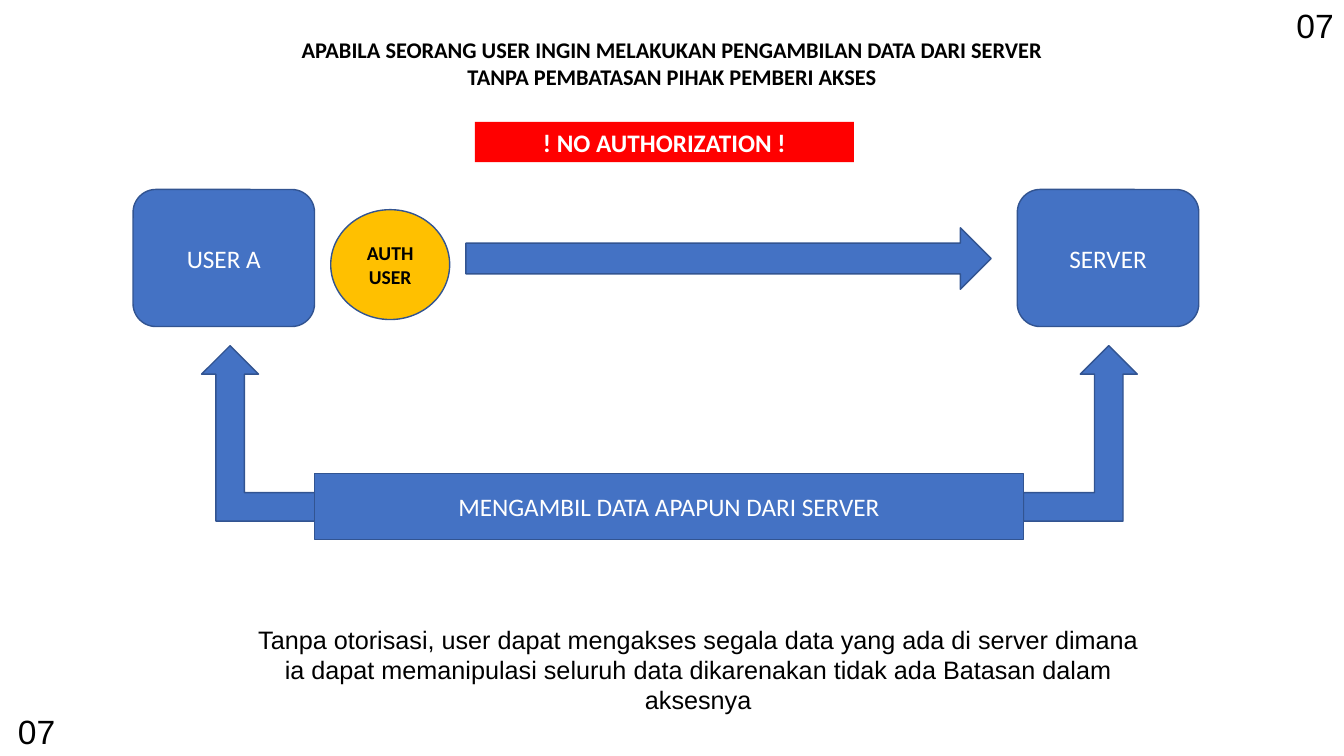
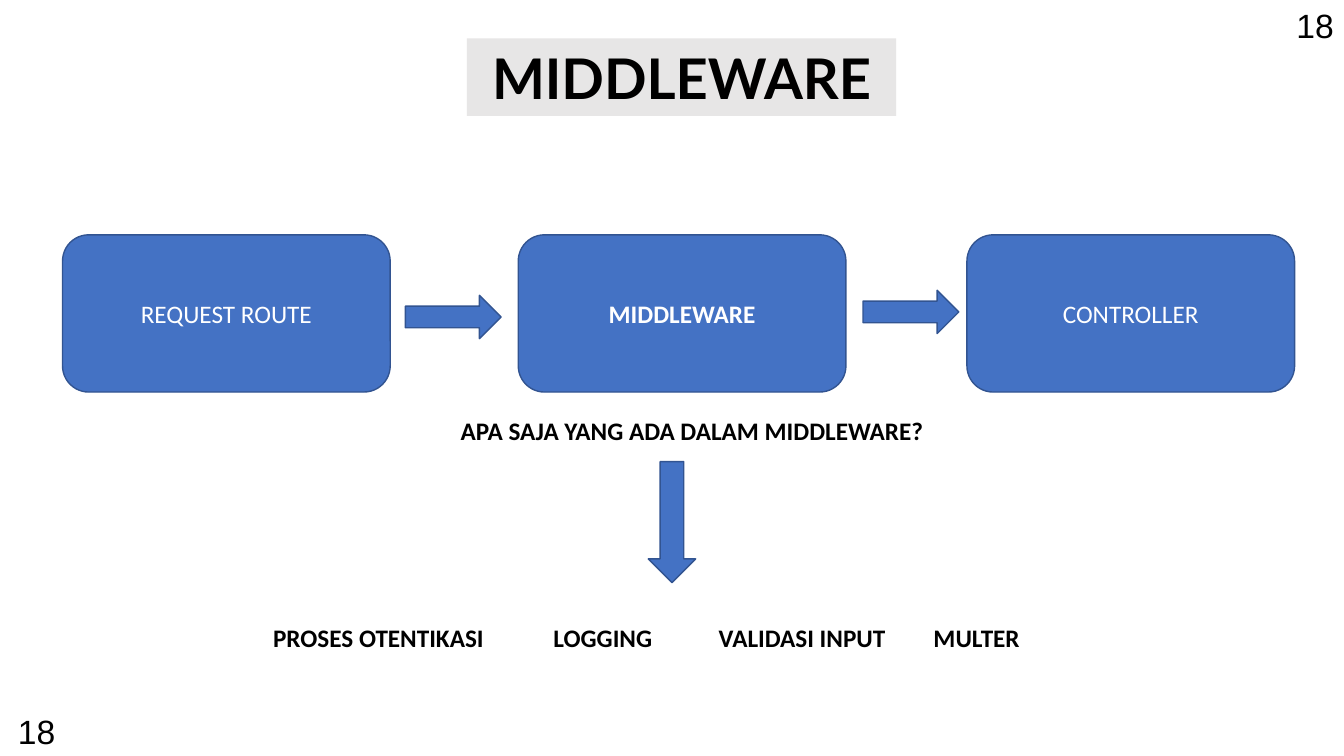
"""Two slides on authorization and middleware flow."""
from pptx import Presentation
from pptx.dml.color import RGBColor
from pptx.enum.shapes import MSO_SHAPE
from pptx.enum.text import MSO_ANCHOR, PP_ALIGN
from pptx.util import Inches, Pt

BLUE = RGBColor(0x44, 0x72, 0xC4)
EDGE = RGBColor(0x32, 0x54, 0x91)
GOLD = RGBColor(0xFF, 0xC0, 0x00)
RED = RGBColor(0xFF, 0x00, 0x00)
GRAY = RGBColor(0xE7, 0xE6, 0xE6)
WHITE = RGBColor(0xFF, 0xFF, 0xFF)
BLACK = RGBColor(0x00, 0x00, 0x00)

NODES = [("USER A", 1.32), ("SERVER", 10.09)]
BENDS = [(10.15, False), (2, True)]
RULE = ("APABILA SEORANG USER INGIN MELAKUKAN PENGAMBILAN DATA DARI SERVER "
        "TANPA PEMBATASAN PIHAK PEMBERI AKSES")
NOTE = ("Tanpa otorisasi, user dapat mengakses segala data yang ada di server "
        "dimana ia dapat memanipulasi seluruh data dikarenakan tidak ada "
        "Batasan dalam aksesnya")
STEPS = [("REQUEST ROUTE", 0.62, False), ("MIDDLEWARE", 5.14, True),
         ("CONTROLLER", 9.59, False)]
ARROWS = [(4.02, 2.93), (8.56, 2.88)]
PARTS = [("PROSES OTENTIKASI", 2.61), ("LOGGING", 5.39),
         ("VALIDASI INPUT", 7.03), ("MULTER", 9.16)]
CORNERS = [(12.76, 0), (0.08, 7)]


def write(shape, text, size=18, font="Calibri", color=BLACK, bold=False,
          align=PP_ALIGN.LEFT, anchor=MSO_ANCHOR.TOP):
    frame = shape.text_frame
    frame.word_wrap = True
    frame.vertical_anchor = anchor
    frame.text = text
    line = frame.paragraphs[0]
    line.alignment = align
    face = line.runs[0].font
    face.name, face.size, face.bold = font, Pt(size), bold
    face.color.rgb = color


def label(slide, at, text, **style):
    box = slide.shapes.add_textbox(*map(Inches, at))
    write(box, text, **style)


def block(slide, kind, at, text="", fill=BLUE, edge=EDGE, color=WHITE, **style):
    shape = slide.shapes.add_shape(kind, *map(Inches, at))
    shape.shadow.inherit = False
    shape.fill.solid()
    shape.fill.fore_color.rgb = fill
    if edge is None:
        shape.line.fill.background()
    else:
        shape.line.color.rgb = edge
        shape.line.width = Pt(1)
    if text:
        style.setdefault("anchor", MSO_ANCHOR.MIDDLE)
        write(shape, text, color=color, align=PP_ALIGN.CENTER, **style)
    return shape


def banner(slide, at, text, fill, color, **style):
    block(slide, MSO_SHAPE.RECTANGLE, at, text, fill, None, color,
          bold=True, anchor=MSO_ANCHOR.TOP, **style)


def start(deck):
    return deck.slides.add_slide(deck.slide_layouts[6])


def number(slide, text):
    for left, top in CORNERS:
        label(slide, (left, top, 1.55, 0.5), text, size=24, font="Arial")


def access(deck):
    slide = start(deck)
    for text, left in NODES:
        block(slide, MSO_SHAPE.ROUNDED_RECTANGLE, (left, 1.88, 1.8, 1.36), text)
    block(slide, MSO_SHAPE.OVAL, (3.28, 2.08, 1.18, 1.09), "AUTH USER",
          GOLD, color=BLACK, size=14, bold=True)
    block(slide, MSO_SHAPE.RIGHT_ARROW, (4.62, 2.26, 5.21, 0.61))
    label(slide, (2.6, 0.31, 8.13, 0.64), RULE, size=16, bold=True,
          align=PP_ALIGN.CENTER)
    banner(slide, (4.71, 1.21, 3.76, 0.4), "! NO AUTHORIZATION !", RED, WHITE)
    for left, flip in BENDS:
        bend = block(slide, MSO_SHAPE.BENT_UP_ARROW, (left, 3.43, 1.13, 1.74))
        if flip:
            bend.element.spPr.xfrm.set("flipH", "1")
    block(slide, MSO_SHAPE.RECTANGLE, (3.12, 4.7, 7.03, 0.65),
          "MENGAMBIL DATA APAPUN DARI SERVER")
    label(slide, (2.36, 6.14, 9.13, 1.01), NOTE, font="Arial",
          align=PP_ALIGN.CENTER)
    number(slide, "07")


def flow(deck):
    slide = start(deck)
    banner(slide, (4.63, 0.38, 4.26, 0.77), "MIDDLEWARE", GRAY, BLACK,
           size=40, font="Lato")
    for text, left, bold in STEPS:
        block(slide, MSO_SHAPE.ROUNDED_RECTANGLE, (left, 2.33, 3.25, 1.56),
              text, bold=bold)
    for left, top in ARROWS:
        block(slide, MSO_SHAPE.RIGHT_ARROW, (left, top, 0.95, 0.43))
    block(slide, MSO_SHAPE.DOWN_ARROW, (6.43, 4.58, 0.47, 1.2))
    label(slide, (4.47, 4.07, 5.38, 0.4),
          "APA SAJA YANG ADA DALAM MIDDLEWARE?", bold=True)
    for text, left in PARTS:
        label(slide, (left, 6.12, 2.82, 0.4), text, bold=True)
    number(slide, "18")


deck = Presentation()
deck.slide_width, deck.slide_height = Inches(13.33), Inches(7.5)
access(deck)
flow(deck)
deck.save("out.pptx")
